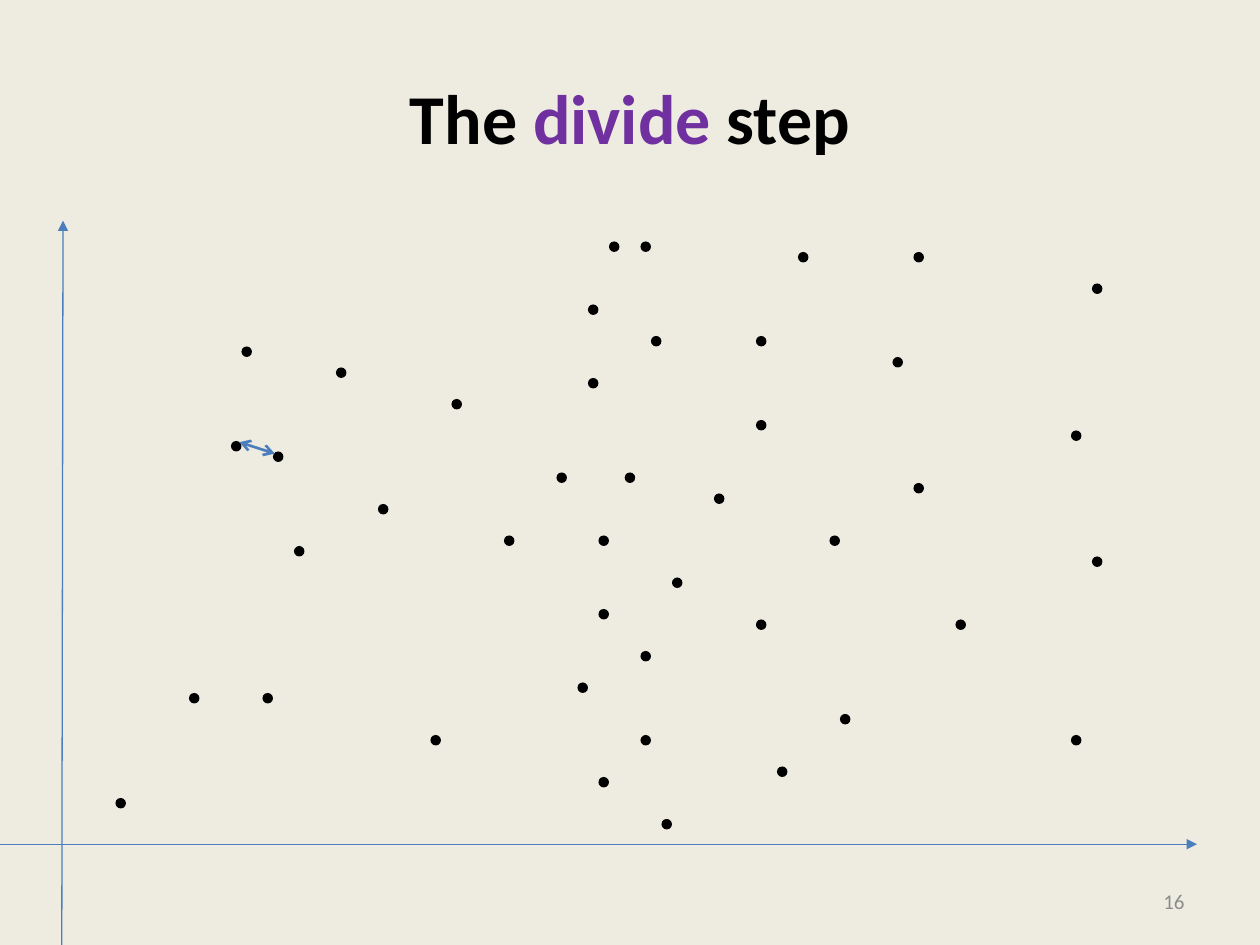
from lxml import etree
from pptx import Presentation
from pptx.dml.color import RGBColor
from pptx.enum.shapes import MSO_CONNECTOR, MSO_SHAPE
from pptx.enum.text import MSO_ANCHOR, PP_ALIGN
from pptx.oxml.ns import qn
from pptx.util import Pt

STRAIGHT, OVAL = MSO_CONNECTOR.STRAIGHT, MSO_SHAPE.OVAL
MIDDLE, CENTER, RIGHT = MSO_ANCHOR.MIDDLE, PP_ALIGN.CENTER, PP_ALIGN.RIGHT

CREAM = RGBColor(0xEE, 0xEC, 0xE1)
BLACK = RGBColor(0x00, 0x00, 0x00)
PURPLE = RGBColor(0x70, 0x30, 0xA0)
GREY = RGBColor(0x8C, 0x8C, 0x8C)
BLUE = RGBColor(0x4B, 0x7E, 0xBC)
FONT = "Calibri"

TITLE = [("The ", BLACK), ("divide", PURPLE), (" step", BLACK)]
PAGE_NUMBER = [("16", GREY)]

GRID = 6
DOT_SIZE = 6
POINTS = [
    (43, 38), (48, 51), (87, 46), (61, 62), (55, 65), (79, 51), (80, 68),
    (72, 32), (41, 70), (36, 48), (91, 59), (85, 34), (32, 35), (26, 43),
    (28, 52), (22, 42), (25, 66), (23, 33), (56, 29), (72, 40), (72, 59),
    (74, 73), (76, 24), (87, 24), (102, 41), (104, 53), (104, 27), (102, 70),
    (18, 66), (11, 76), (57, 51), (57, 74), (63, 78), (57, 58), (64, 55),
    (62, 32), (56, 36), (53, 45), (68, 47), (58, 23), (61, 23), (61, 70),
    (59.5, 45),
]
X_AXIS = [(-12, 482.4), (684, 482.4)]
Y_AXIS = [(35.3, 552), (36, 126)]
CLOSEST_PAIR = [(157, 259.2), (136.8, 252.7)]


def add_text(slide, box, parts, size, bold, alignment):
    frame = slide.shapes.add_textbox(*map(Pt, box)).text_frame
    frame.word_wrap = True
    frame.vertical_anchor = MIDDLE
    paragraph = frame.paragraphs[0]
    paragraph.alignment = alignment
    for text, color in parts:
        run = paragraph.add_run()
        run.text = text
        run.font.name = FONT
        run.font.size = Pt(size)
        run.font.bold = bold
        run.font.color.rgb = color


def add_arrow(slide, ends, width, arrowheads):
    start, end = ends
    arrow = slide.shapes.add_connector(STRAIGHT, *map(Pt, start + end))
    arrow.line.color.rgb = BLUE
    arrow.line.width = Pt(width)
    outline = arrow.line._get_or_add_ln()
    for side, kind in arrowheads.items():
        etree.SubElement(outline, qn(f"a:{side}"), type=kind)
    etree.SubElement(arrow._element.spPr, qn("a:effectLst"))


def add_dot(slide, column, row):
    dot = slide.shapes.add_shape(
        OVAL, Pt(column * GRID), Pt(row * GRID), Pt(DOT_SIZE), Pt(DOT_SIZE))
    dot.shadow.inherit = False
    dot.fill.solid()
    dot.fill.fore_color.rgb = BLACK
    dot.line.fill.background()


def main():
    deck = Presentation()
    deck.slide_width, deck.slide_height = Pt(720), Pt(540)
    slide = deck.slides.add_slide(deck.slide_layouts[6])
    slide.background.fill.solid()
    slide.background.fill.fore_color.rgb = CREAM

    for axis in (X_AXIS, Y_AXIS):
        add_arrow(slide, axis, 0.75, {"tailEnd": "triangle"})
    add_text(slide, (36, 21.6, 648, 90), TITLE, 40, True, CENTER)
    add_text(slide, (516, 500.5, 168, 28.75), PAGE_NUMBER, 12, False, RIGHT)
    for column, row in POINTS:
        add_dot(slide, column, row)
    add_arrow(slide, CLOSEST_PAIR, 1.5, {"headEnd": "arrow", "tailEnd": "arrow"})

    deck.save("out.pptx")


if __name__ == "__main__":
    main()
